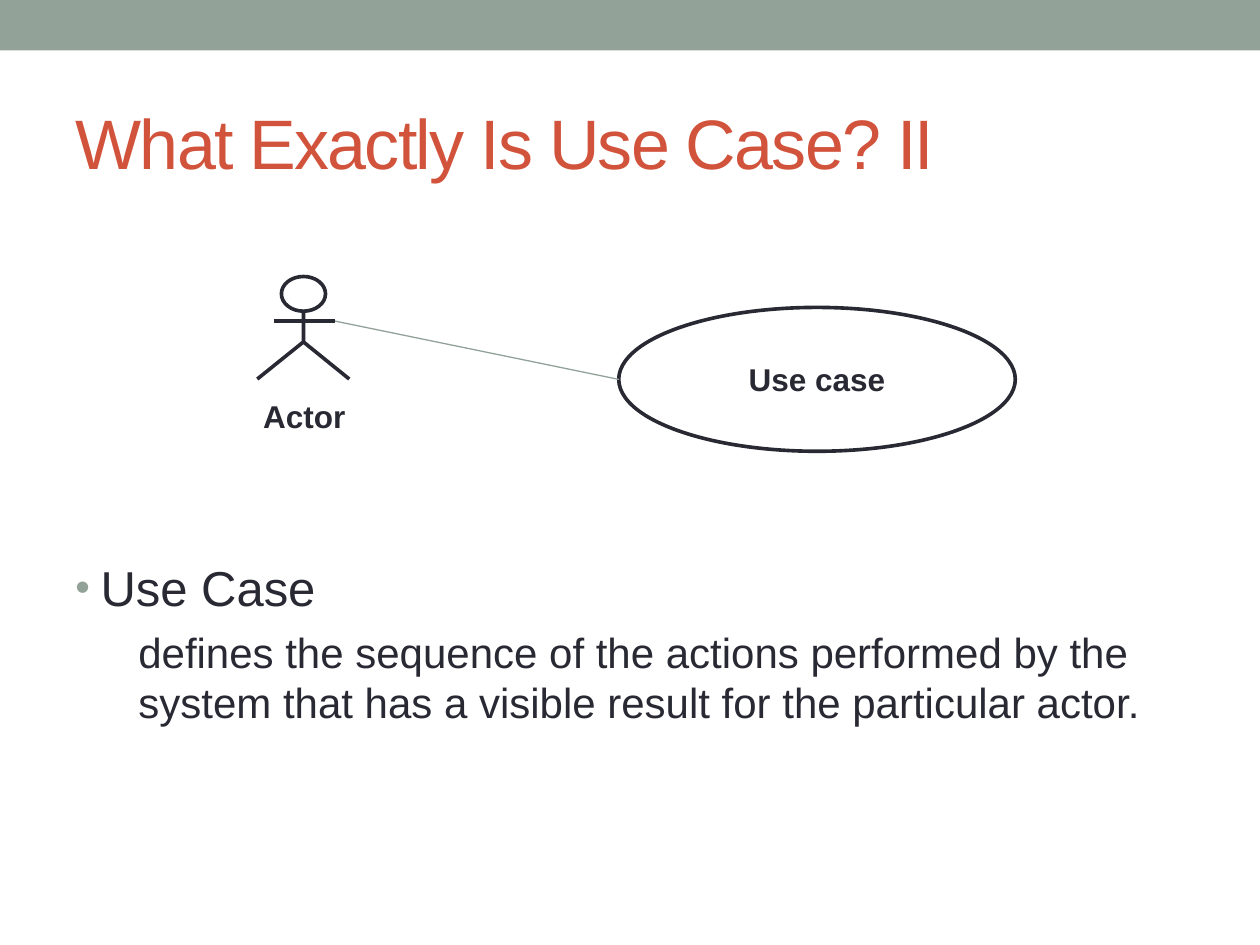
from math import cos, pi, sin

from lxml.etree import SubElement
from pptx import Presentation
from pptx.dml.color import RGBColor
from pptx.enum.shapes import MSO_CONNECTOR as Link, MSO_SHAPE as Preset
from pptx.enum.text import MSO_ANCHOR as Anchor, MSO_AUTO_SIZE as Fit, PP_ALIGN as Align
from pptx.oxml.ns import qn
from pptx.util import Pt

SAGE = RGBColor(0x93, 0xA2, 0x99)
RUST = RGBColor(0xD2, 0x53, 0x3C)
INK = RGBColor(0x29, 0x29, 0x34)

TITLE = "What Exactly Is Use Case? II"
TERM = "Use Case"
DEFINITION = ("defines the sequence of the actions performed by the system "
              "that has a visible result for the particular actor.")
LABEL = {"size": Pt(18), "bold": True}
STROKE = 2.08

NECK = (173.4, 177.8)
HIP = (173.4, 195.4)
LEFT_HAND, RIGHT_HAND = (156.4, 183.5), (191.5, 183.5)
LEFT_FOOT, RIGHT_FOOT = (147, 216.6), (199.6, 216.6)
HEAD_RADII = (12.6, 9.9)
HEAD_POINTS = 32
OVAL = (353.6, 175.7, 226.6, 82.2)


def write(para, text, **values):
    span = para.add_run()
    span.text = text
    span.font.color.rgb = values.pop("color", INK)
    for name, value in {"name": "Arial", **values}.items():
        setattr(span.font, name, value)
    return span


def outline(shape):
    shape.shadow.inherit = False
    shape.fill.background()
    shape.line.color.rgb = INK
    shape.line.width = Pt(STROKE)


def draw_path(points, close=False):
    corners = [(Pt(x), Pt(y)) for x, y in points]
    builder = page.shapes.build_freeform(*corners[0], scale=1.0)
    builder.add_line_segments(corners[1:], close=close)
    outline(builder.convert_to_shape())


def draw_line(start, end, color=INK, width=STROKE):
    line = page.shapes.add_connector(Link.STRAIGHT, *map(Pt, start + end))
    line.line.color.rgb = color
    line.line.width = Pt(width)
    SubElement(line._element.spPr, qn("a:effectLst"))


def add_box(left, top, width, height):
    box = page.shapes.add_textbox(*map(Pt, (left, top, width, height)))
    box.text_frame.word_wrap = True
    return box.text_frame


deck = Presentation()
deck.slide_width, deck.slide_height = Pt(720), Pt(540)
page = deck.slides.add_slide(deck.slide_layouts[5])

bar = page.shapes.add_shape(Preset.RECTANGLE, 0, 0, deck.slide_width, Pt(28.8))
bar.shadow.inherit = False
bar.fill.solid()
bar.fill.fore_color.rgb = SAGE
bar.line.fill.background()

title = page.shapes.title
title.left, title.top, title.width, title.height = map(Pt, (36, 41.8, 648, 77.8))
frame = title.text_frame
frame.auto_size = Fit.NONE
frame.vertical_anchor = Anchor.MIDDLE
frame.paragraphs[0].alignment = Align.LEFT
span = write(frame.paragraphs[0], TITLE, size=Pt(40), color=RUST)
span.font._element.set("spc", "-100")

frame = add_box(36, 315, 648, 195)
term = frame.paragraphs[0]
props = term._p.get_or_add_pPr()
props.set("marL", str(Pt(14.4)))
props.set("indent", str(-Pt(14.4)))
SubElement(SubElement(props, qn("a:buClr")), qn("a:srgbClr")).set("val", str(SAGE))
SubElement(props, qn("a:buSzPct")).set("val", "85000")
SubElement(props, qn("a:buFont")).set("typeface", "Arial")
SubElement(props, qn("a:buChar")).set("char", "•")
write(term, TERM, size=Pt(28))
definition = frame.add_paragraph()
definition.level = 1
definition.space_before = Pt(5.6)
props = definition._p.get_or_add_pPr()
props.set("marL", str(Pt(36)))
props.set("indent", "0")
write(definition, DEFINITION, size=Pt(24))

oval = page.shapes.add_shape(Preset.OVAL, *map(Pt, OVAL))
outline(oval)
frame = oval.text_frame
frame.word_wrap = False
frame.vertical_anchor = Anchor.MIDDLE
frame.paragraphs[0].alignment = Align.CENTER
write(frame.paragraphs[0], "Use case", **LABEL)

radius_x, radius_y = HEAD_RADII
turns = [2 * pi * step / HEAD_POINTS for step in range(HEAD_POINTS)]
draw_path([(NECK[0] + radius_x * sin(turn), NECK[1] - radius_y * (1 + cos(turn)))
           for turn in turns], close=True)
draw_line(LEFT_HAND, RIGHT_HAND)
draw_path([NECK, HIP, LEFT_FOOT])
draw_line(HIP, RIGHT_FOOT)
write(add_box(143.3, 223.2, 101.5, 28.8).paragraphs[0], "Actor", **LABEL)

oval_left, oval_top, _, oval_height = OVAL
draw_line(RIGHT_HAND, (oval_left, oval_top + oval_height / 2), SAGE, 0.75)

deck.save("out.pptx")
